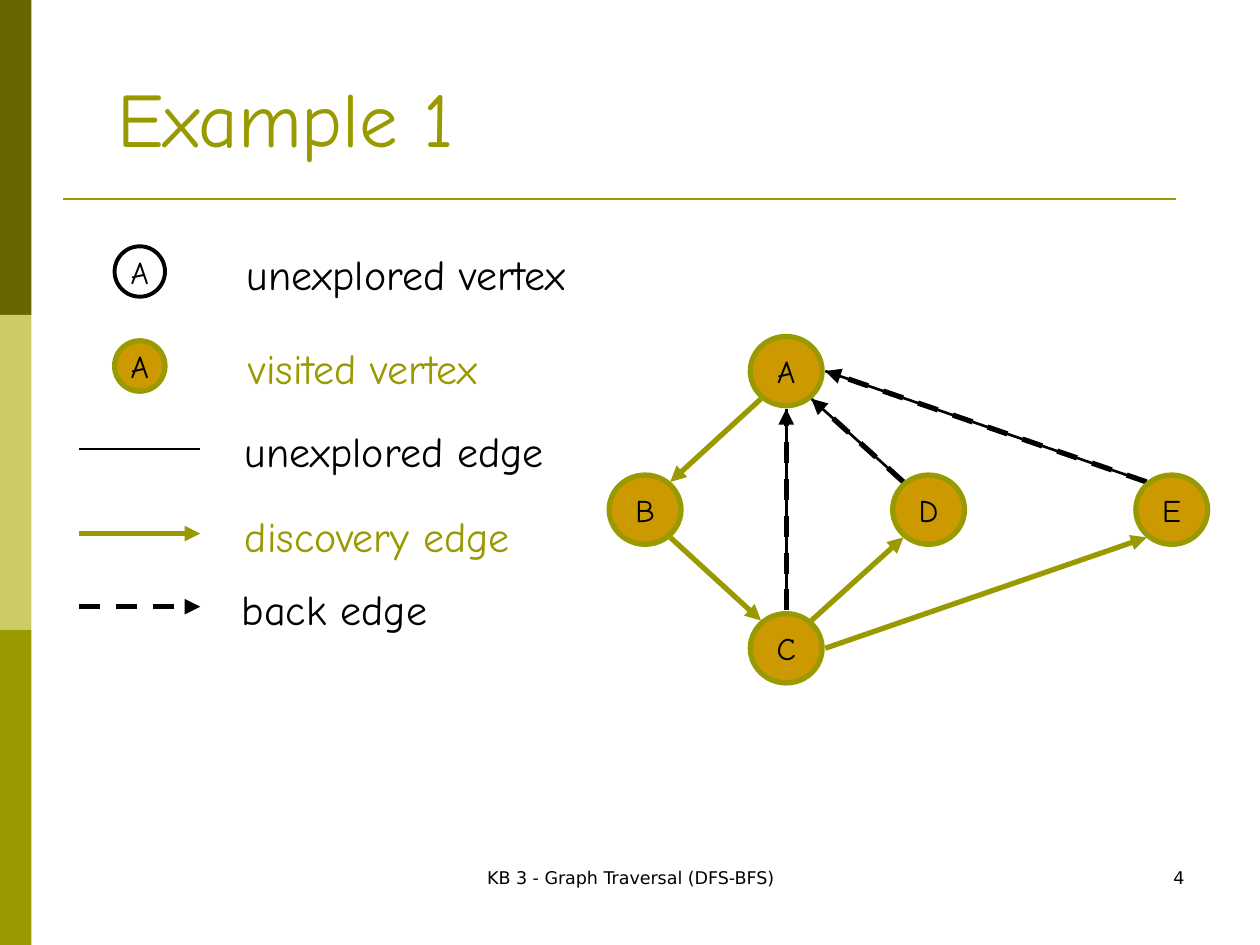
from lxml import etree
from pptx import Presentation
from pptx import util as u
from pptx.dml.color import RGBColor
from pptx.enum import dml, shapes, text
from pptx.oxml.ns import qn

OLIVE, GOLD, BLACK = "999900", "CC9900", "000000"
HAND, SANS = "Comic Neue", "DejaVu Sans"
CENTER, LEFT, RIGHT = text.PP_ALIGN.CENTER, text.PP_ALIGN.LEFT, text.PP_ALIGN.RIGHT


def color(hex_string):
    return RGBColor.from_string(hex_string)


class Deck:
    """Style and current slide; lengths are cells of a 100 x 75 grid."""

    def __init__(self):
        self.presentation = Presentation()
        self.presentation.slide_width = u.Inches(10)
        self.presentation.slide_height = u.Inches(7.5)
        self.cell = self.presentation.slide_width / 100
        self.slide = self.presentation.slides.add_slide(self.presentation.slide_layouts[5])

    def grid(self, *cells):
        return [u.Emu(round(value * self.cell)) for value in cells]

    def set_text(self, shape, words, size, ink=BLACK, font=HAND, align=CENTER, **frame_format):
        frame = shape.text_frame
        frame.text = words
        for name, value in frame_format.items():
            setattr(frame, name, value)
        paragraph = frame.paragraphs[0]
        paragraph.alignment = align
        for name, value in {"name": font, "size": u.Pt(size), "bold": False}.items():
            setattr(paragraph.font, name, value)
        paragraph.font.color.rgb = color(ink)

    def title(self, words, *box):
        shape = self.slide.shapes.title
        for name, value in zip(("left", "top", "width", "height"), self.grid(*box)):
            setattr(shape, name, value)
        self.set_text(shape, words, 44, OLIVE, align=LEFT, word_wrap=True,
                      auto_size=text.MSO_AUTO_SIZE.NONE,
                      vertical_anchor=text.MSO_ANCHOR.BOTTOM)

    def label(self, words, *box, wrap=False, **style):
        shape = self.slide.shapes.add_textbox(*self.grid(*box))
        self.set_text(shape, words, word_wrap=wrap, **style)

    def bar(self, fill, *box):
        shape = self.slide.shapes.add_shape(shapes.MSO_SHAPE.RECTANGLE, *self.grid(*box))
        shape.shadow.inherit = False
        shape.fill.solid()
        shape.fill.fore_color.rgb = color(fill)
        shape.line.fill.background()

    def vertex(self, name, x, y, width, height, visited=True):
        shape = self.slide.shapes.add_shape(
            shapes.MSO_SHAPE.OVAL, *self.grid(x - width / 2, y - height / 2, width, height))
        shape.shadow.inherit = False
        if visited:
            shape.fill.solid()
            shape.fill.fore_color.rgb = color(GOLD)
        else:
            shape.fill.background()
        shape.line.color.rgb = color(OLIVE if visited else BLACK)
        shape.line.width = u.Pt(3 if visited else 2.25)
        self.set_text(shape, name, 18, word_wrap=False,
                      vertical_anchor=text.MSO_ANCHOR.MIDDLE)

    def edge(self, start, end, ink=BLACK, width=1.5, dashed=False, arrow=False):
        connector = self.slide.shapes.add_connector(
            shapes.MSO_CONNECTOR.STRAIGHT, *self.grid(*start, *end))
        connector.line.color.rgb = color(ink)
        connector.line.width = u.Pt(width)
        if dashed:
            connector.line.dash_style = dml.MSO_LINE.DASH
        properties = connector._element.spPr
        if arrow:
            etree.SubElement(properties.find(qn("a:ln")), qn("a:tailEnd"), type="triangle")
        etree.SubElement(properties, qn("a:effectLst"))


DISCOVERY = dict(ink=OLIVE, width=3, arrow=True)
BACK = dict(width=3, dashed=True, arrow=True)

# Legend: label, left, top, width, colour, symbol style
LEGEND = [
    ("unexplored vertex", 18.5, 19.2, 27.5, BLACK, dict(visited=False)),
    ("visited vertex", 18.6, 26.7, 20.4, OLIVE, dict(visited=True)),
    ("unexplored edge", 18.4, 33.3, 25.8, BLACK, {}),
    ("discovery edge", 18.4, 40, 23.1, OLIVE, DISCOVERY),
    ("back edge", 18.2, 45.8, 16.7, BLACK, BACK),
]

# Graph: vertex centres, and where an edge meets a vertex
VERTICES = {"A": (62.4, 29.45), "B": (51.2, 40.45), "C": (62.4, 51.45),
            "D": (73.7, 40.45), "E": (93, 40.45)}
PORTS = {"n": (0, -3), "s": (0, 3), "e": (3.1, 0), "nw": (-2, -2.2),
         "ne": (2, -2.2), "sw": (-2, 2.2), "se": (2, 2.2)}
DISCOVERY_EDGES = [("A", "sw", "B", "ne"), ("B", "se", "C", "nw"),
                   ("C", "ne", "D", "sw"), ("C", "e", "E", "sw")]
BACK_EDGES = [("C", "n", "A", "s"), ("D", "nw", "A", "se"), ("E", "nw", "A", "e")]


def port(vertex, side):
    return [centre + shift for centre, shift in zip(VERTICES[vertex], PORTS[side])]


def main():
    deck = Deck()

    # Side bars and title rule
    for row, fill in enumerate(("666600", "CCCC66", OLIVE)):
        deck.bar(fill, 0, row * 25, 2.5, 25)
    deck.edge((5, 15.8), (93.3, 15.8), OLIVE)

    # Title and footer
    deck.title("Example 1", 8.3, 4.2, 85, 9.2)
    small = dict(size=10, font=SANS, wrap=True)
    deck.label("KB 3 - Graph Traversal (DFS-BFS)", 34.2, 68.3, 31.7, 5, **small)
    deck.label("4", 71.7, 68.3, 23.3, 5, align=RIGHT, **small)

    # Legend
    for words, left, top, width, ink, style in LEGEND:
        middle = top + 2.35
        if "visited" in style:
            deck.vertex("A", 11.1, middle, 4, 4, **style)
        else:
            deck.edge((6.3, middle), (15.9, middle), **style)
        deck.label(words, left, top, width, 5, size=24, ink=ink)

    # Graph
    for start, start_side, end, end_side in BACK_EDGES:
        ends = port(start, start_side), port(end, end_side)
        deck.edge(*ends, **BACK)
        deck.edge(*ends)
    for start, start_side, end, end_side in DISCOVERY_EDGES:
        deck.edge(port(start, start_side), port(end, end_side), **DISCOVERY)
    for name, centre in VERTICES.items():
        deck.vertex(name, *centre, 5.7, 5.5)

    deck.presentation.save("out.pptx")


if __name__ == "__main__":
    main()
